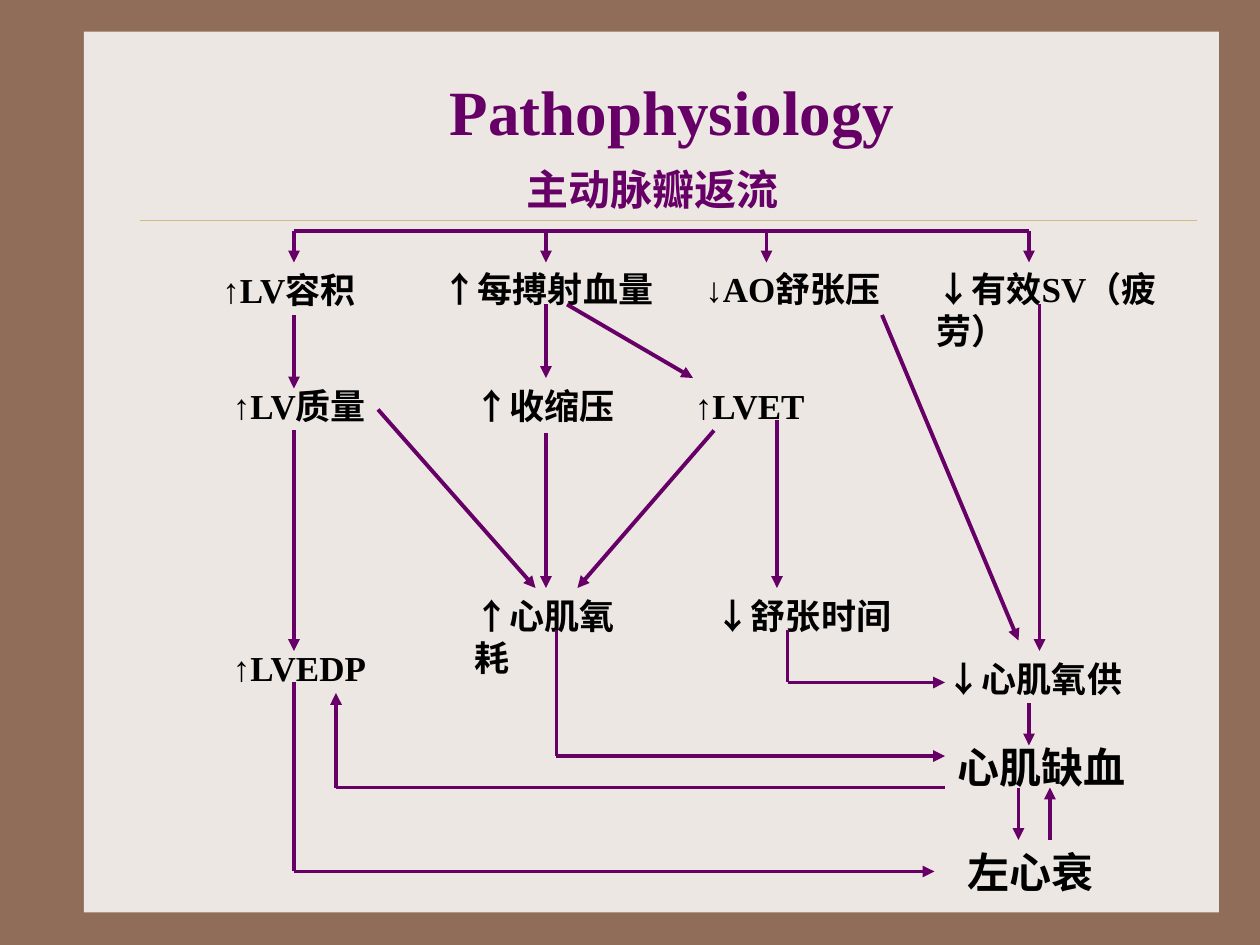
from dataclasses import dataclass
from itertools import pairwise

from lxml import etree
from pptx import Presentation
from pptx import util as u
from pptx.dml.color import RGBColor
from pptx.enum import shapes, text
from pptx.oxml.ns import qn

COLORS = {
    "frame": "906D58",
    "panel": "EDE7E3",
    "rule": "CBBD83",
    "accent": "660066",
    "text": "000000",
}
FONT = "Times New Roman"
TOP, BOTTOM = 0, 2  # connection sites of a rectangle


@dataclass(frozen=True)
class Label:
    words: str
    left: float
    top: float
    width: float
    size: int = 20
    color: str = "text"


@dataclass(frozen=True)
class Route:
    """Straight pieces through the points, with an arrowhead at the last one."""
    points: tuple
    arrow: bool = True
    start: tuple | None = None  # (label words, connection site)
    end: tuple | None = None


# All places are in twelfths of an inch, the grid of this slide.
ROW_1, ROW_2, ROW_3 = 24.9, 36, 56
LABELS = [
    Label("主动脉瓣返流", 49, 15, 28, 24, "accent"),
    Label("↑LV容积", 20, 25, 18),
    Label("↑每搏射血量", 41, ROW_1, 23),
    Label("↓AO舒张压", 66, ROW_1, 23),
    Label("↓有效SV（疲劳）", 88, ROW_1, 26),
    Label("↑LV质量", 21, ROW_2, 18),
    Label("↑收缩压", 44, ROW_2, 16),
    Label("↑LVET", 65, ROW_2, 18),
    Label("↑LVEDP", 21, 61, 18),
    Label("↑心肌氧耗", 44, ROW_3, 18),
    Label("↓舒张时间", 67, ROW_3, 23),
    Label("↓心肌氧供", 89, 62, 23),
    Label("心肌缺血", 90, 70, 20, 24),
    Label("左心衰", 91, 80, 18, 24),
]

BUS_Y = 22
BRANCHES = (28, 52, 73, 98)
ROUTES = [
    Route(((BRANCHES[0], BUS_Y), (BRANCHES[-1], BUS_Y)), arrow=False),
    *(Route(((x, BUS_Y), (x, 25))) for x in BRANCHES),
    Route(((28, 30), (28, 37))),
    Route(((28, 41), (28, 62))),
    Route(((28, 65), (28, 83), (89, 83))),
    Route(((52, 29), (52, 36)), end=("↑收缩压", TOP)),
    Route(((52, 41), (52, 56)), start=("↑收缩压", BOTTOM)),
    Route(((36, 39), (51, 56))),
    Route(((54, 29), (66, 36))),
    Route(((68, 41), (55, 56))),
    Route(((74, 40), (74, 56))),
    Route(((84, 30), (97, 61))),
    Route(((99, 29), (99, 62))),
    Route(((75, 60), (75, 65), (90, 65))),
    Route(((53, 60), (53, 72), (90, 72))),
    Route(((98, 67), (98, 71))),
    Route(((97, 75), (97, 80))),
    Route(((100, 80), (100, 75)), start=("左心衰", TOP)),
    Route(((90, 75), (32, 75), (32, 66))),
]


def grid(count: float) -> u.Length:
    return u.Cm(count * 2.54 / 12)


def rgb(name: str) -> RGBColor:
    return RGBColor.from_string(COLORS[name])


def write(box, words: str, *, size: int, color: str, align=text.PP_ALIGN.LEFT,
          anchor=text.MSO_ANCHOR.TOP, fit=text.MSO_AUTO_SIZE.NONE) -> None:
    frame = box.text_frame
    frame.word_wrap = True
    frame.auto_size = fit
    frame.vertical_anchor = anchor
    para = frame.paragraphs[0]
    para.alignment = align
    span = para.add_run()
    span.text = words
    span.font.name, span.font.size, span.font.bold = FONT, u.Pt(size), True
    span.font.color.rgb = rgb(color)


def draw_label(page, label: Label):
    height = 6 if label.size > 20 else 5.2
    box = page.shapes.add_textbox(*map(grid, (label.left, label.top, label.width, height)))
    write(box, label.words, size=label.size, color=label.color,
          fit=text.MSO_AUTO_SIZE.SHAPE_TO_FIT_TEXT)
    return box


def draw_line(page, begin: tuple, end: tuple, *, color: str = "accent",
              width: float = 2.25, arrow: bool = False):
    line = page.shapes.add_connector(
        shapes.MSO_CONNECTOR.STRAIGHT, *map(grid, (*begin, *end)))
    line.line.color.rgb = rgb(color)
    line.line.width = u.Pt(width)
    if arrow:
        etree.SubElement(line.line._get_or_add_ln(), qn("a:tailEnd"), type="triangle")
    etree.SubElement(line._element.spPr, qn("a:effectLst"))
    return line


def draw_route(page, route: Route, boxes: dict) -> None:
    pieces = list(pairwise(route.points))
    lines = [draw_line(page, *piece, arrow=route.arrow and piece == pieces[-1])
             for piece in pieces]
    if route.start:
        words, site = route.start
        lines[0].begin_connect(boxes[words], site)
    if route.end:
        words, site = route.end
        lines[-1].end_connect(boxes[words], site)


def draw_backdrop(page) -> None:
    page.background.fill.solid()
    page.background.fill.fore_color.rgb = rgb("frame")
    panel = page.shapes.add_shape(
        shapes.MSO_SHAPE.RECTANGLE, *map(grid, (8, 3, 108.1, 83.9)))
    panel.shadow.inherit = False
    panel.fill.solid()
    panel.fill.fore_color.rgb = rgb("panel")
    panel.line.fill.background()
    draw_line(page, (13.3, 21), (114, 21), color="rule", width=0.25)


def draw_title(page) -> None:
    title = page.shapes.title
    page.shapes._spTree.append(title._element)  # in front of the panel
    title.left, title.top, title.width, title.height = map(grid, (14, 3, 100, 15))
    write(title, "Pathophysiology", size=36, color="accent",
          align=text.PP_ALIGN.CENTER, anchor=text.MSO_ANCHOR.MIDDLE)


def main() -> None:
    deck = Presentation()
    deck.slide_width, deck.slide_height = u.Cm(25.4), u.Cm(19.05)
    page = deck.slides.add_slide(deck.slide_layouts.get_by_name("Title Only"))
    draw_backdrop(page)
    draw_title(page)
    boxes = {label.words: draw_label(page, label) for label in LABELS}
    for route in ROUTES:
        draw_route(page, route, boxes)
    deck.save("out.pptx")


if __name__ == "__main__":
    main()
